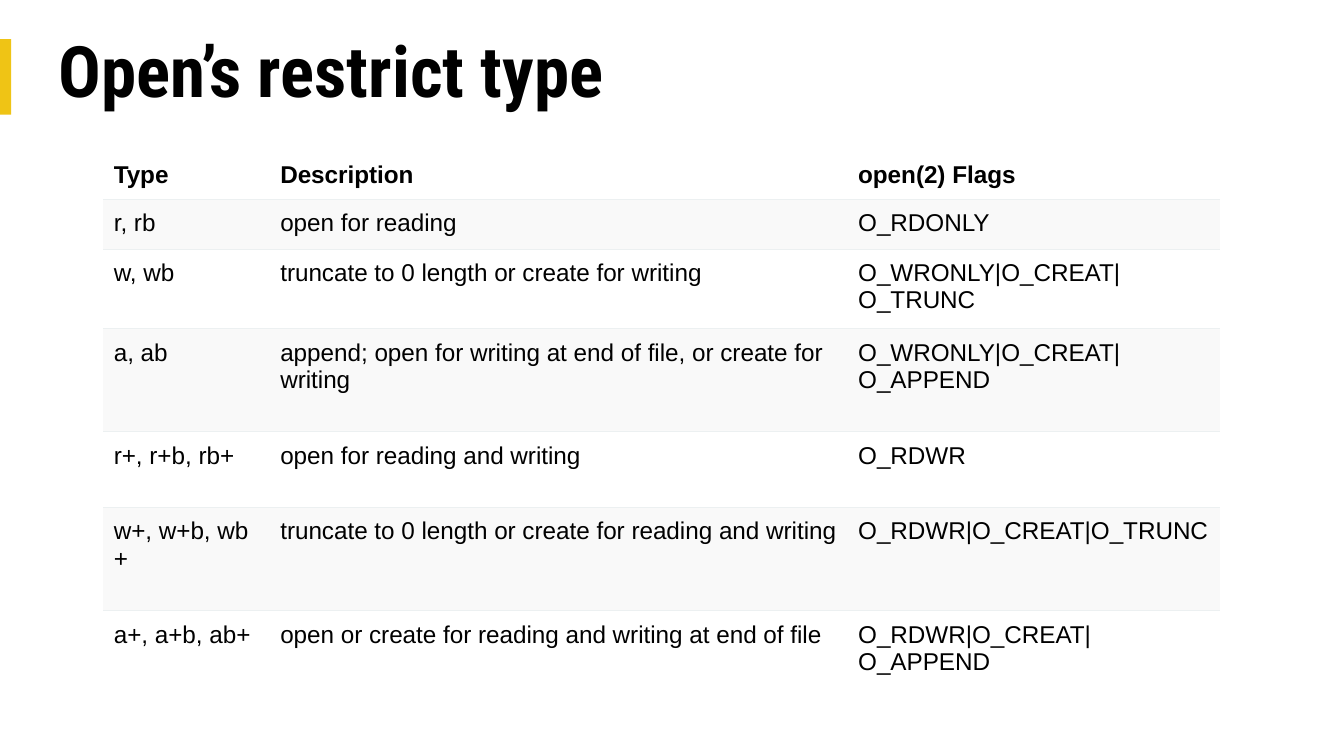
from typing import NamedTuple

from lxml.etree import SubElement as Sub
from pptx import Presentation
from pptx.dml.color import RGBColor
from pptx.enum.shapes import MSO_SHAPE as Shape
from pptx.enum.text import MSO_ANCHOR as Anchor
from pptx.oxml.ns import qn
from pptx.util import Pt

BLACK, WHITE, GRAY = "000000", "FFFFFF", "F9F9F9"
YELLOW, RULE = "EFC415", "ECF0F1"
NBSP = chr(160)  # keeps each list of modes on one line
PAD = 5.6


class Row(NamedTuple):
    mode: str
    note: str
    flags: str
    height: float


ROWS = [
    Row("Type", "Description", "open(2) Flags", 26),
    Row("r, rb", "open for reading", "O_RDONLY", 26),
    Row("w, wb", "truncate to 0 length or create for writing",
        "O_WRONLY|O_CREAT|O_TRUNC", 41.1),
    Row("a, ab", "append; open for writing at end of file, or create for writing",
        "O_WRONLY|O_CREAT|O_APPEND", 55.3),
    Row("r+, r+b, rb+", "open for reading and writing", "O_RDWR", 40.6),
    Row("w+, w+b, wb+", "truncate to 0 length or create for reading and writing",
        "O_RDWR|O_CREAT|O_TRUNC", 55.3),
    Row("a+, a+b, ab+", "open or create for reading and writing at end of file",
        "O_RDWR|O_CREAT|O_APPEND", 41.1),
]
WIDTHS = [89.2, 309.6, 199.5]


def color(code: str) -> RGBColor:
    return RGBColor.from_string(code)


def style(par, name: str, size: float, bold: bool) -> None:
    for run in par.runs:
        font = run.font
        font.name, font.size, font.bold = name, Pt(size), bold
        font.color.rgb = color(BLACK)


def edge(cell, side: str, shown: bool) -> None:
    line = Sub(cell._tc.get_or_add_tcPr(), qn(f"a:ln{side}"), w=str(Pt(0.75)))
    if shown:
        fill = Sub(line, qn("a:solidFill"))
        Sub(fill, qn("a:srgbClr"), val=RULE)
    else:
        Sub(line, qn("a:noFill"))


def draw_cell(cell, text: str, row: int) -> None:
    head = row == 0
    cell.text_frame.text = text
    style(cell.text_frame.paragraphs[0], "Arial", 13, head)
    cell.margin_left = cell.margin_right = Pt(PAD)
    cell.margin_top = cell.margin_bottom = Pt(PAD)
    cell.vertical_anchor = Anchor.BOTTOM if head else Anchor.TOP
    last = row == len(ROWS) - 1
    for side, shown in (("L", False), ("R", False), ("T", not head), ("B", not last)):
        edge(cell, side, shown)
    cell.fill.solid()
    cell.fill.fore_color.rgb = color(GRAY if row % 2 else WHITE)


def draw_table(slide) -> None:
    high = sum(row.height for row in ROWS)
    table = slide.shapes.add_table(
        len(ROWS), len(WIDTHS), Pt(55.4), Pt(80), Pt(sum(WIDTHS)), Pt(high)).table
    for col, width in zip(table.columns, WIDTHS):
        col.width = Pt(width)
    for i, row in enumerate(ROWS):
        table.rows[i].height = Pt(row.height)
        texts = (row.mode.replace(" ", NBSP), row.note, row.flags)
        for j, text in enumerate(texts):
            draw_cell(table.cell(i, j), text, i)


def draw_title(slide, text: str) -> None:
    bar = slide.shapes.add_shape(Shape.RECTANGLE, Pt(0), Pt(21), Pt(6), Pt(40.4))
    bar.shadow.inherit = False
    bar.fill.solid()
    bar.fill.fore_color.rgb = color(YELLOW)
    bar.line.fill.background()

    frame = slide.shapes.add_textbox(Pt(26), Pt(15), Pt(668), Pt(49.8)).text_frame
    frame.word_wrap = True
    frame.vertical_anchor = Anchor.MIDDLE
    frame.margin_left = frame.margin_right = Pt(5.4)
    frame.margin_top = frame.margin_bottom = Pt(2.7)
    frame.text = text
    par = frame.paragraphs[0]
    par.line_spacing = 0.9
    style(par, "Roboto Condensed", 38, True)


def main() -> None:
    deck = Presentation()
    deck.slide_width, deck.slide_height = Pt(720), Pt(405)
    slide = deck.slides.add_slide(deck.slide_layouts[6])
    draw_title(slide, "Open’s restrict type")
    draw_table(slide)
    deck.save("out.pptx")


if __name__ == "__main__":
    main()
